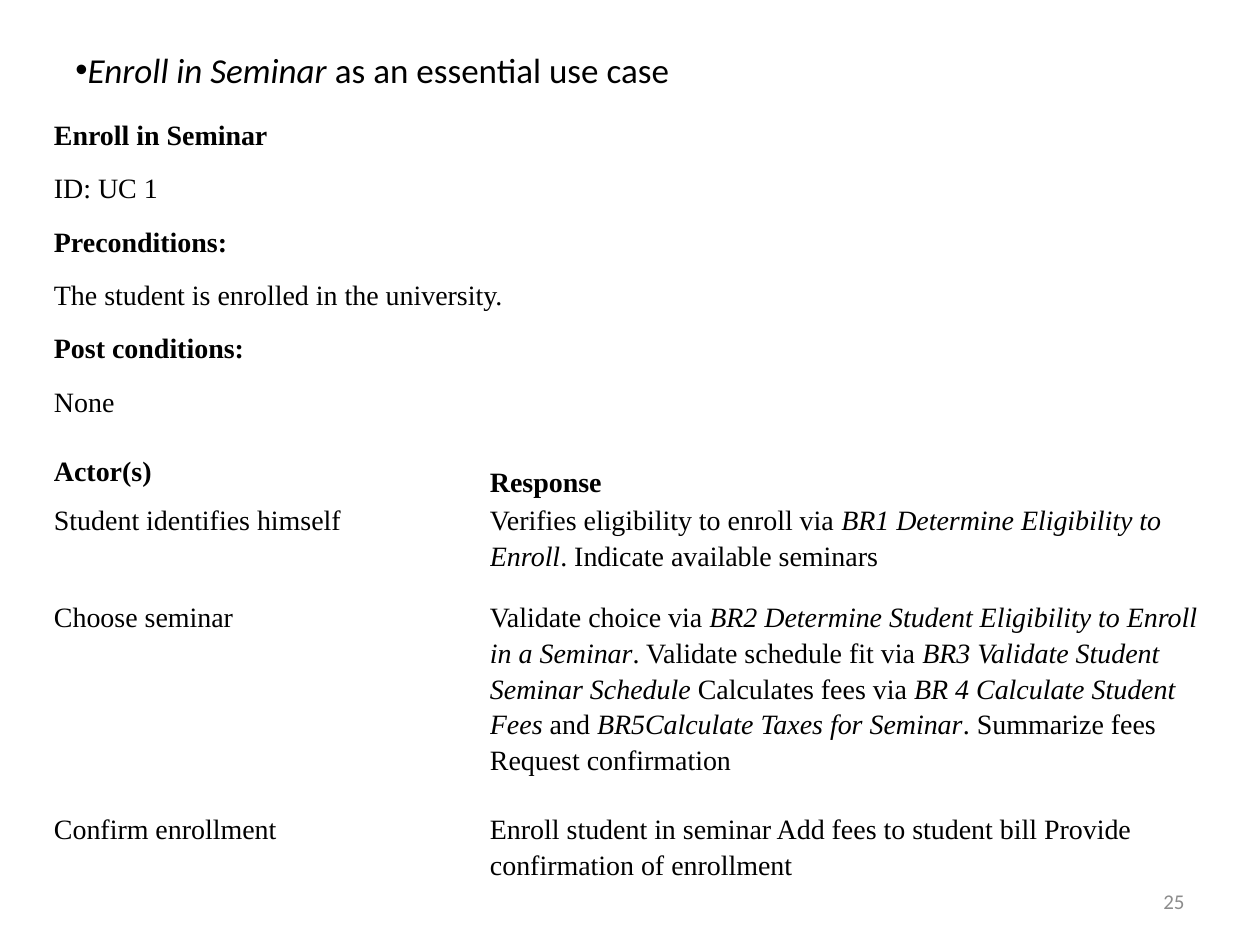
from dataclasses import dataclass

from lxml import etree
from pptx import Presentation
from pptx.dml.color import RGBColor
from pptx.enum.text import MSO_ANCHOR, MSO_AUTO_SIZE, PP_ALIGN
from pptx.oxml.ns import qn
from pptx.util import Emu, Pt


@dataclass(frozen=True)
class Theme:
    ink: RGBColor = RGBColor(0x00, 0x00, 0x00)
    muted: RGBColor = RGBColor(0x8C, 0x8C, 0x8C)
    heading_font: str = "Calibri"
    body_font: str = "Times New Roman"
    heading_size: int = 20
    body_size: int = 16
    number_size: int = 12


theme = Theme()


def px(length):
    return Emu(round(length * 914400 / 126))


def write(paragraph, text, font_name, size, color, bold=False):
    for index, piece in enumerate(text.split("*")):
        if piece:
            run = paragraph.add_run()
            run.text = piece
            if index % 2:
                run.font.italic = True
    font = paragraph.font
    font.name, font.size, font.bold = font_name, Pt(size), bold
    font.color.rgb = color


deck = Presentation()
deck.slide_width, deck.slide_height = px(1260), px(945)
slide = deck.slides.add_slide(deck.slide_layouts[6])

column_widths = [436, 720]
row_heights = [336, 49, 97, 212, 117]
summary = [
    "Enroll in Seminar",
    "ID: UC 1",
    "Preconditions:",
    "The student is enrolled in the university.",
    "Post conditions:",
    "None",
]
steps = [
    ("Actor(s)", "Response"),
    (
        "Student identifies himself",
        "Verifies eligibility to enroll via *BR1 Determine Eligibility to Enroll*. "
        "Indicate available seminars",
    ),
    (
        "Choose seminar",
        "Validate choice via *BR2 Determine Student Eligibility to Enroll in a Seminar*. "
        "Validate schedule fit via *BR3 Validate Student Seminar Schedule *"
        "Calculates fees via *BR 4 Calculate Student Fees *and "
        "*BR5Calculate Taxes for Seminar*. Summarize fees Request confirmation",
    ),
    (
        "Confirm enrollment",
        "Enroll student in seminar Add fees to student bill "
        "Provide confirmation of enrollment",
    ),
]

use_case = slide.shapes.add_table(
    len(row_heights), len(column_widths),
    px(53), px(115), px(sum(column_widths)), px(sum(row_heights)),
).table
use_case.first_row = use_case.horz_banding = False
for column, width in zip(use_case.columns, column_widths):
    column.width = px(width)
for row, height in zip(use_case.rows, row_heights):
    row.height = px(height)
use_case.cell(0, 0).merge(use_case.cell(0, 1))

entries = [(0, 0, summary)]
for row_index, step in enumerate(steps, start=1):
    for column_index, text in enumerate(step):
        entries.append((row_index, column_index, [text]))

for cell in use_case.iter_cells():
    cell.fill.background()
    cell.margin_left = cell.margin_right = px(1)
    cell.margin_top = cell.margin_bottom = px(1)

for row_index, column_index, lines in entries:
    frame = use_case.cell(row_index, column_index).text_frame
    for line_index, line in enumerate(lines):
        paragraph = frame.add_paragraph() if line_index else frame.paragraphs[0]
        paragraph.line_spacing = 1.15
        paragraph.space_after = Pt(10)
        is_label = row_index == 1 or (row_index == 0 and line_index % 2 == 0)
        write(paragraph, line, theme.body_font, theme.body_size, theme.ink, is_label)
use_case.cell(1, 1).vertical_anchor = MSO_ANCHOR.BOTTOM

page_number = slide.shapes.add_textbox(px(903), px(876), px(294), px(50)).text_frame
page_number.word_wrap = True
page_number.vertical_anchor = MSO_ANCHOR.MIDDLE
page_number.paragraphs[0].alignment = PP_ALIGN.RIGHT
write(page_number.paragraphs[0], "25", theme.heading_font, theme.number_size, theme.muted)

heading = slide.shapes.add_textbox(px(63), px(42), px(861), px(55)).text_frame
heading.word_wrap = True
heading.auto_size = MSO_AUTO_SIZE.SHAPE_TO_FIT_TEXT
heading_line = heading.paragraphs[0]
properties = heading_line._p.get_or_add_pPr()
etree.SubElement(properties, qn("a:buFont")).set("typeface", "Arial")
etree.SubElement(properties, qn("a:buChar")).set("char", "•")
write(heading_line, "*Enroll in Seminar* as an essential use case",
      theme.heading_font, theme.heading_size, theme.ink)

deck.save("out.pptx")
